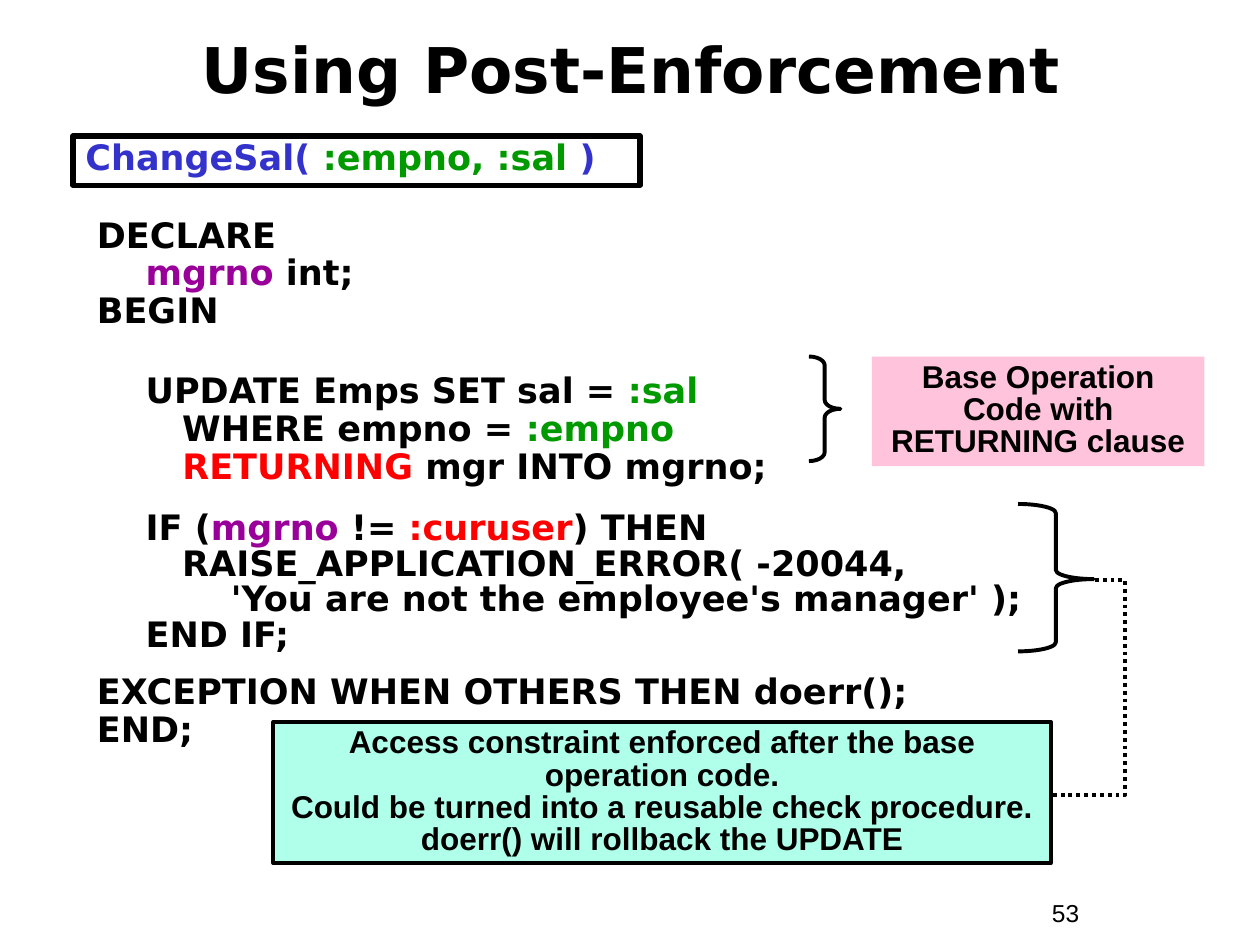
"""Build the "Using Post-Enforcement" slide with annotated PL/SQL code."""
from dataclasses import dataclass
from typing import NamedTuple, Optional

from lxml.etree import SubElement
from pptx import Presentation
from pptx.dml.color import RGBColor
from pptx.enum.dml import MSO_LINE
from pptx.enum.shapes import MSO_CONNECTOR, MSO_SHAPE
from pptx.enum.text import MSO_ANCHOR, PP_ALIGN
from pptx.oxml.ns import qn
from pptx.util import Inches, Pt


@dataclass(frozen=True)
class Theme:
    code_font: str = "DejaVu Sans"
    note_font: str = "Arial"
    title_size: float = 36
    code_size: float = 20
    note_size: float = 18
    number_size: float = 14
    rule: float = 2.25
    frame: float = 3
    ink: str = "000000"
    call: str = "3333CC"
    variable: str = "990099"
    bind: str = "009900"
    alert: str = "FF0000"
    mint: str = "AFFFEA"
    pink: str = "FFC3DB"


THEME = Theme()


class Area(NamedTuple):
    left: float
    top: float
    width: float
    height: float

    def lengths(self) -> list:
        return [Inches(value) for value in self]


class Token(NamedTuple):
    text: str
    color: str = THEME.ink


class Line(NamedTuple):
    tokens: list
    spacing: float = 0.9
    before: float = 0


class Style(NamedTuple):
    font: str
    size: float
    bold: bool = True
    align: PP_ALIGN = PP_ALIGN.LEFT
    anchor: MSO_ANCHOR = MSO_ANCHOR.TOP


class Panel(NamedTuple):
    area: Area
    lines: list
    style: Style
    fill: Optional[str] = None
    border: float = 0


class Brace(NamedTuple):
    area: Area
    curve: float
    tip: float


CODE = Style(THEME.code_font, THEME.code_size)
NOTE = Style(THEME.note_font, THEME.note_size, align=PP_ALIGN.CENTER)
TITLE = Style(THEME.code_font, THEME.title_size, align=PP_ALIGN.CENTER, anchor=MSO_ANCHOR.MIDDLE)
NUMBER = Style(THEME.note_font, THEME.number_size, bold=False)

PROCEDURE = [
    Line([Token("DECLARE")]),
    Line([Token("    "), Token("mgrno", THEME.variable), Token(" int;")]),
    Line([Token("BEGIN")]),
    Line([Token("    UPDATE Emps SET sal = "), Token(":sal", THEME.bind)], before=24.2),
    Line([Token("       WHERE empno = "), Token(":empno", THEME.bind)]),
    Line([Token("       "), Token("RETURNING ", THEME.alert), Token("mgr INTO mgrno;")]),
    Line([Token("    IF ("), Token("mgrno", THEME.variable), Token(" != "),
          Token(":curuser", THEME.alert), Token(") THEN")], 0.85, 14.3),
    Line([Token("       RAISE_APPLICATION_ERROR( -20044,")], 0.85),
    Line([Token("           'You are not the employee's manager' );")], 0.85),
    Line([Token("    END IF;")], 0.85),
    Line([Token("EXCEPTION WHEN OTHERS THEN doerr();")], before=11.3),
    Line([Token("END;")]),
]
SIGNATURE = [Line([Token("ChangeSal( ", THEME.call), Token(":empno, :sal ", THEME.bind),
                   Token(")", THEME.call)], 0.85)]
CONSTRAINT = [Line([Token(text)], 0.85) for text in (
    "Access constraint enforced after the base operation code.",
    "Could be turned into a reusable check procedure.",
    "doerr() will rollback the UPDATE",
)]
BASE_OPERATION = [Line([Token("Base Operation Code with RETURNING clause")], 0.85)]

TEXTS = [
    Panel(Area(8.25, 7.08, 0.92, 0.34), [Line([Token("53")], 1)], NUMBER),
    Panel(Area(0.17, 0.08, 9.67, 0.92), [Line([Token("Using Post-Enforcement")], 1)], TITLE),
    Panel(Area(0.67, 1.68, 8.75, 4.33), PROCEDURE, CODE),
]
BOXES = [
    Panel(Area(0.58, 1.08, 4.5, 0.39), SIGNATURE, CODE, border=THEME.frame),
    Panel(Area(2.17, 5.73, 6.17, 1.12), CONSTRAINT, NOTE, THEME.mint, THEME.rule),
    Panel(Area(6.92, 2.83, 2.64, 0.87), BASE_OPERATION, NOTE, THEME.pink),
]
BRACES = [
    Brace(Area(6.42, 2.83, 0.25, 0.83), 0.28, 0.5),
    Brace(Area(8.08, 4, 0.6, 1.17), 0.12, 0.51),
]


def write(frame, lines: list, style: Style) -> None:
    frame.word_wrap = True
    frame.vertical_anchor = style.anchor
    for index, line in enumerate(lines):
        paragraph = frame.add_paragraph() if index else frame.paragraphs[0]
        paragraph.alignment = style.align
        paragraph.line_spacing = line.spacing
        paragraph.space_before = Pt(line.before)
        for token in line.tokens:
            run = paragraph.add_run()
            run.text = token.text
            run.font.name = style.font
            run.font.size = Pt(style.size)
            run.font.bold = style.bold
            run.font.color.rgb = RGBColor.from_string(token.color)


def stroke(line, width: float) -> None:
    line.color.rgb = RGBColor.from_string(THEME.ink)
    line.width = Pt(width)


def draw_text(slide, panel: Panel) -> None:
    write(slide.shapes.add_textbox(*panel.area.lengths()).text_frame, panel.lines, panel.style)


def draw_box(slide, panel: Panel) -> None:
    box = slide.shapes.add_shape(MSO_SHAPE.RECTANGLE, *panel.area.lengths())
    box.shadow.inherit = False
    if panel.fill:
        box.fill.solid()
        box.fill.fore_color.rgb = RGBColor.from_string(panel.fill)
    else:
        box.fill.background()
    if panel.border:
        stroke(box.line, panel.border)
    else:
        box.line.fill.background()
    write(box.text_frame, panel.lines, panel.style)


def draw_brace(slide, brace: Brace) -> None:
    shape = slide.shapes.add_shape(MSO_SHAPE.RIGHT_BRACE, *brace.area.lengths())
    shape.shadow.inherit = False
    shape.fill.background()
    shape.adjustments[0] = brace.curve
    shape.adjustments[1] = brace.tip
    stroke(shape.line, THEME.rule)


def draw_dotted_elbow(slide, start: tuple, end: tuple, bend: float) -> None:
    ends = [Inches(value) for value in (*start, *end)]
    elbow = slide.shapes.add_connector(MSO_CONNECTOR.ELBOW, *ends)
    stroke(elbow.line, THEME.rule)
    elbow.line.dash_style = MSO_LINE.ROUND_DOT
    properties = elbow._element.spPr
    guides = properties.find(qn("a:prstGeom")).find(qn("a:avLst"))
    SubElement(guides, qn("a:gd"), name="adj1", fmla=f"val {round(bend * 100000)}")
    SubElement(properties, qn("a:effectLst"))


def main() -> None:
    deck = Presentation()
    deck.slide_width, deck.slide_height = Inches(10), Inches(7.5)
    slide = deck.slides.add_slide(deck.slide_layouts[6])
    for panel in TEXTS:
        draw_text(slide, panel)
    for panel in BOXES:
        draw_box(slide, panel)
    for brace in BRACES:
        draw_brace(slide, brace)
    draw_dotted_elbow(slide, (8.69, 4.6), (8.35, 6.31), -0.7)
    deck.save("out.pptx")


if __name__ == "__main__":
    main()
